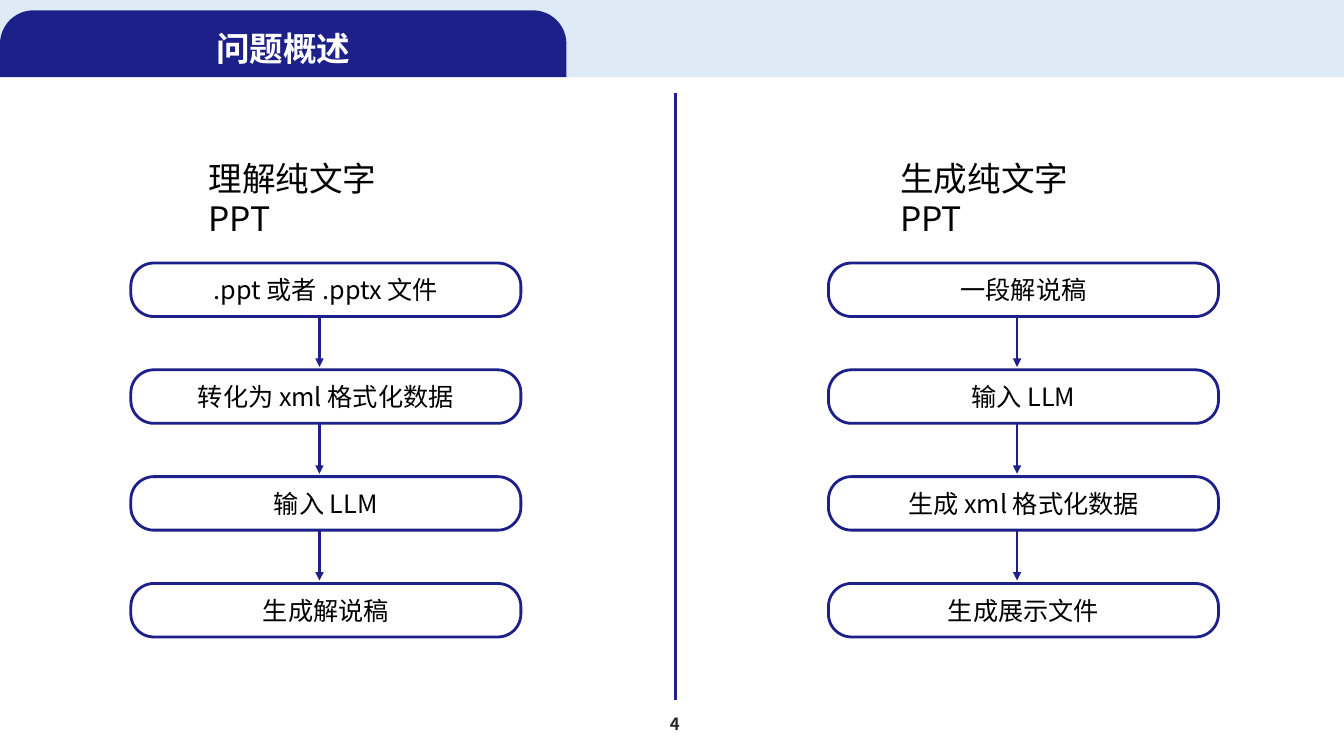
"""Builds the problem overview slide with two parallel text flows."""
from lxml.etree import SubElement
from pptx import Presentation
from pptx.dml.color import RGBColor
from pptx.enum.shapes import MSO_CONNECTOR, MSO_SHAPE
from pptx.enum.text import MSO_ANCHOR, PP_ALIGN
from pptx.oxml.ns import qn
from pptx.util import Pt

COLORS = {"navy": "1D2088", "pale": "DEEBF7", "white": "FFFFFF", "black": "000000", "gray": "262626"}


class FlowSlide:
    """Holds the style and the current slide."""

    font = "Noto Sans CJK SC"
    inset = Pt(3.6)
    line_width = Pt(2)

    def __init__(self, slide):
        self.slide = slide

    def color(self, name):
        return RGBColor.from_string(COLORS[name])

    def set_text(self, shape, text, size, color, bold=False, align=PP_ALIGN.CENTER,
                 anchor=MSO_ANCHOR.MIDDLE, wrap=True):
        frame = shape.text_frame
        frame.text = text
        frame.word_wrap = wrap
        frame.vertical_anchor = anchor
        frame.margin_left = frame.margin_right = self.inset
        frame.margin_top = frame.margin_bottom = self.inset
        paragraph = frame.paragraphs[0]
        paragraph.alignment = align
        font = paragraph.runs[0].font
        font.size, font.bold, font.name = Pt(size), bold, self.font
        font.color.rgb = self.color(color)
        SubElement(paragraph.runs[0]._r.get_or_add_rPr(), qn("a:ea"), typeface=self.font)

    def panel(self, kind, left, top, width, height, fill, border=None, rounding=()):
        shape = self.slide.shapes.add_shape(kind, Pt(left), Pt(top), Pt(width), Pt(height))
        shape.shadow.inherit = False
        shape.fill.solid()
        shape.fill.fore_color.rgb = self.color(fill)
        if border:
            shape.line.color.rgb = self.color(border)
            shape.line.width = self.line_width
        else:
            shape.line.fill.background()
        for index, value in enumerate(rounding):
            shape.adjustments[index] = value
        return shape

    def label(self, text, left, top, width, height, size, color, **style):
        box = self.slide.shapes.add_textbox(Pt(left), Pt(top), Pt(width), Pt(height))
        self.set_text(box, text, size, color, **style)

    def vertical_line(self, x, top, bottom, arrow=False):
        line = self.slide.shapes.add_connector(
            MSO_CONNECTOR.STRAIGHT, Pt(x), Pt(top), Pt(x), Pt(bottom))
        line.line.color.rgb = self.color("navy")
        line.line.width = self.line_width
        if arrow:
            SubElement(line.line._get_or_add_ln(), qn("a:tailEnd"), type="triangle")
        SubElement(line._element.spPr, qn("a:effectLst"))

    def flow(self, left, heading_left, heading, steps):
        self.label(heading, heading_left, 109.4, 165, 40.3, 24, "black",
                   align=PP_ALIGN.LEFT, anchor=MSO_ANCHOR.TOP)
        first_top, pitch, width, height = 187.9, 76.3, 278.6, 38.2
        for index, step in enumerate(steps):
            top = first_top + index * pitch
            box = self.panel(MSO_SHAPE.ROUNDED_RECTANGLE, left, top, width, height,
                             "white", "navy", [0.43])
            self.set_text(box, step, 18, "black")
            if index < len(steps) - 1:
                bottom = top + height
                self.vertical_line(left + 134.7, bottom, bottom + 36, arrow=True)


def main():
    presentation = Presentation()
    presentation.slide_width, presentation.slide_height = Pt(960), Pt(540)
    overview = FlowSlide(presentation.slides.add_slide(presentation.slide_layouts[6]))

    overview.panel(MSO_SHAPE.RECTANGLE, 0, 0, 960, 55.2, "pale")
    overview.panel(MSO_SHAPE.ROUND_2_SAME_RECTANGLE, 0, 7.4, 404.6, 47.8, "navy",
                   rounding=[0.5, 0])
    overview.label("问题概述", 10.8, 14.4, 383, 40.3, 24, "white", bold=True)
    overview.label("4", 474.5, 506.9, 15.1, 20.9, 12, "gray", bold=True, wrap=False)
    overview.vertical_line(482.4, 66.3, 499.7)

    overview.flow(93.5, 145.4, "理解纯文字PPT",
                  [".ppt 或者 .pptx 文件", "转化为 xml 格式化数据", "输入 LLM", "生成解说稿"])
    overview.flow(591.8, 639.4, "生成纯文字PPT",
                  ["一段解说稿", "输入 LLM", "生成 xml 格式化数据", "生成展示文件"])
    presentation.save("out.pptx")


if __name__ == "__main__":
    main()
